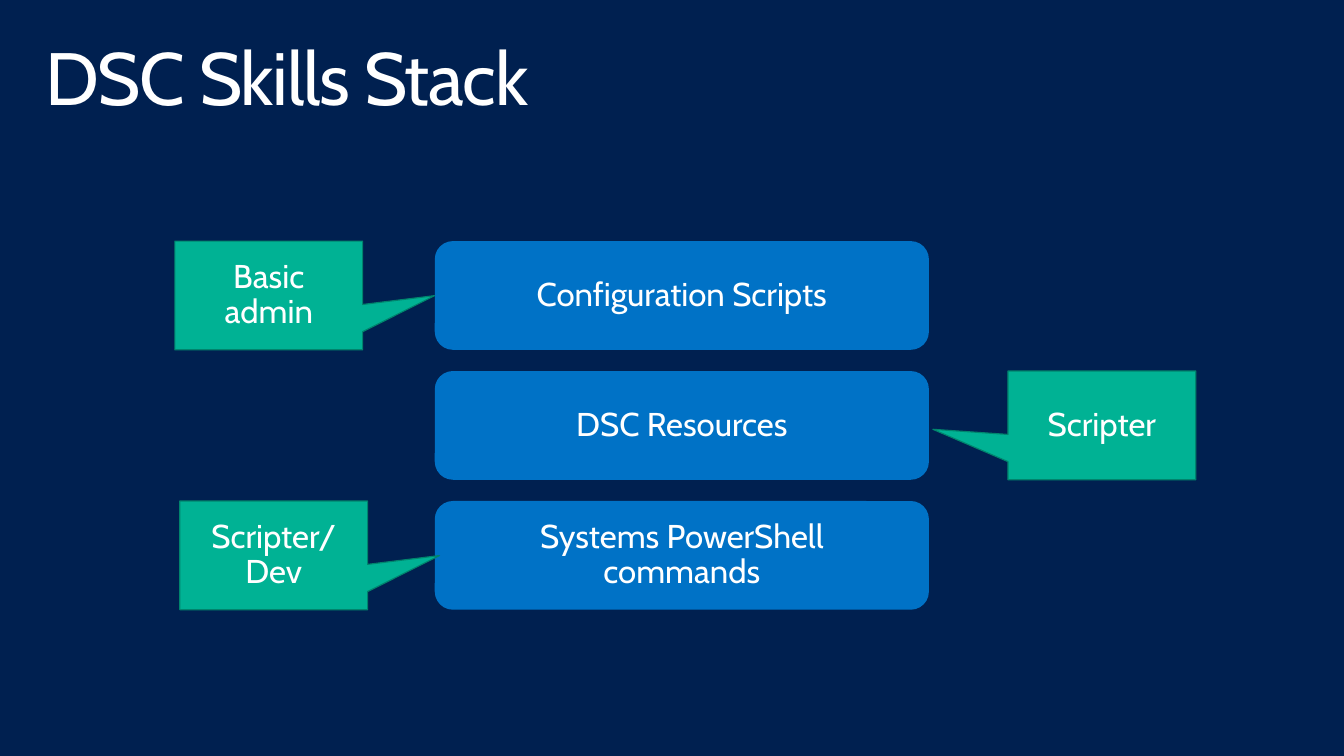
from dataclasses import dataclass

from pptx import Presentation
from pptx import util as u
from pptx.dml.color import RGBColor
from pptx.enum import shapes, text

TITLE = "DSC Skills Stack"

# Layer label, callout lines, callout left edge, callout pointer (x, y)
LAYERS = [
    ("Configuration Scripts", ["Basic", "admin"], 1.77, (0.883, 0.002)),
    ("DSC Resources", ["Scripter"], 10.2, (-0.9, 0.036)),
    ("Systems PowerShell commands", ["Scripter/", "Dev"], 1.82, (0.883, 0.002)),
]

SLIDE_WIDTH, SLIDE_HEIGHT = 13.6, 7.65
STACK_LEFT, STACK_TOP, ROW_STEP = 4.4, 2.44, 1.315
LAYER_WIDTH, CALLOUT_WIDTH, ROW_HEIGHT = 5, 1.9, 1.1


@dataclass(frozen=True)
class Theme:
    font: str = "Cabin"
    background: str = "002050"
    layer: str = "0072C6"
    callout: str = "00B294"
    callout_line: str = "00846D"
    text: str = "FFFFFF"
    title_size: int = 54
    label_size: int = 24
    line_spacing: float = 0.9


THEME = Theme()


def color(code):
    return RGBColor.from_string(code)


def write(shape, lines, size, inset_x, inset_y):
    frame = shape.text_frame
    frame.word_wrap = True
    frame.margin_left = frame.margin_right = u.Inches(inset_x)
    frame.margin_top = frame.margin_bottom = u.Inches(inset_y)
    frame.text = "\n".join(lines)
    for paragraph in frame.paragraphs:
        paragraph.line_spacing = THEME.line_spacing
        paragraph.font.name = THEME.font
        paragraph.font.size = u.Pt(size)
        paragraph.font.color.rgb = color(THEME.text)
    return frame


def add_title(slide):
    box = slide.shapes.add_textbox(*map(u.Inches, (0.3, 0.32, 13, 1)))
    frame = write(box, [TITLE], THEME.title_size, 0.16, 0.1)
    run = frame.paragraphs[0].runs[0]
    run.font._element.set("spc", "-100")  # tracking, hundredths of a point


def add_block(slide, kind, left, top, width, fill, lines):
    shape = slide.shapes.add_shape(
        kind, *map(u.Inches, (left, top, width, ROW_HEIGHT)))
    shape.shadow.inherit = False
    shape.fill.solid()
    shape.fill.fore_color.rgb = color(fill)
    shape.line.fill.background()
    frame = write(shape, lines, THEME.label_size, 0.2, 0.16)
    frame.vertical_anchor = text.MSO_ANCHOR.MIDDLE
    for paragraph in frame.paragraphs:
        paragraph.alignment = text.PP_ALIGN.CENTER
    return shape


def add_callout(slide, left, top, lines, pointer):
    callout = add_block(slide, shapes.MSO_SHAPE.RECTANGULAR_CALLOUT, left, top,
                        CALLOUT_WIDTH, THEME.callout, lines)
    callout.line.color.rgb = color(THEME.callout_line)
    callout.line.width = u.Pt(0.85)
    for index, offset in enumerate(pointer):
        callout.adjustments[index] = offset


def main():
    presentation = Presentation()
    presentation.slide_width = u.Inches(SLIDE_WIDTH)
    presentation.slide_height = u.Inches(SLIDE_HEIGHT)
    slide = presentation.slides.add_slide(presentation.slide_layouts[6])
    slide.background.fill.solid()
    slide.background.fill.fore_color.rgb = color(THEME.background)

    add_title(slide)
    for row, (label, role, role_left, pointer) in enumerate(LAYERS):
        top = STACK_TOP + row * ROW_STEP
        add_block(slide, shapes.MSO_SHAPE.ROUNDED_RECTANGLE, STACK_LEFT, top,
                  LAYER_WIDTH, THEME.layer, [label])
        add_callout(slide, role_left, top, role, pointer)

    presentation.save("out.pptx")


if __name__ == "__main__":
    main()
